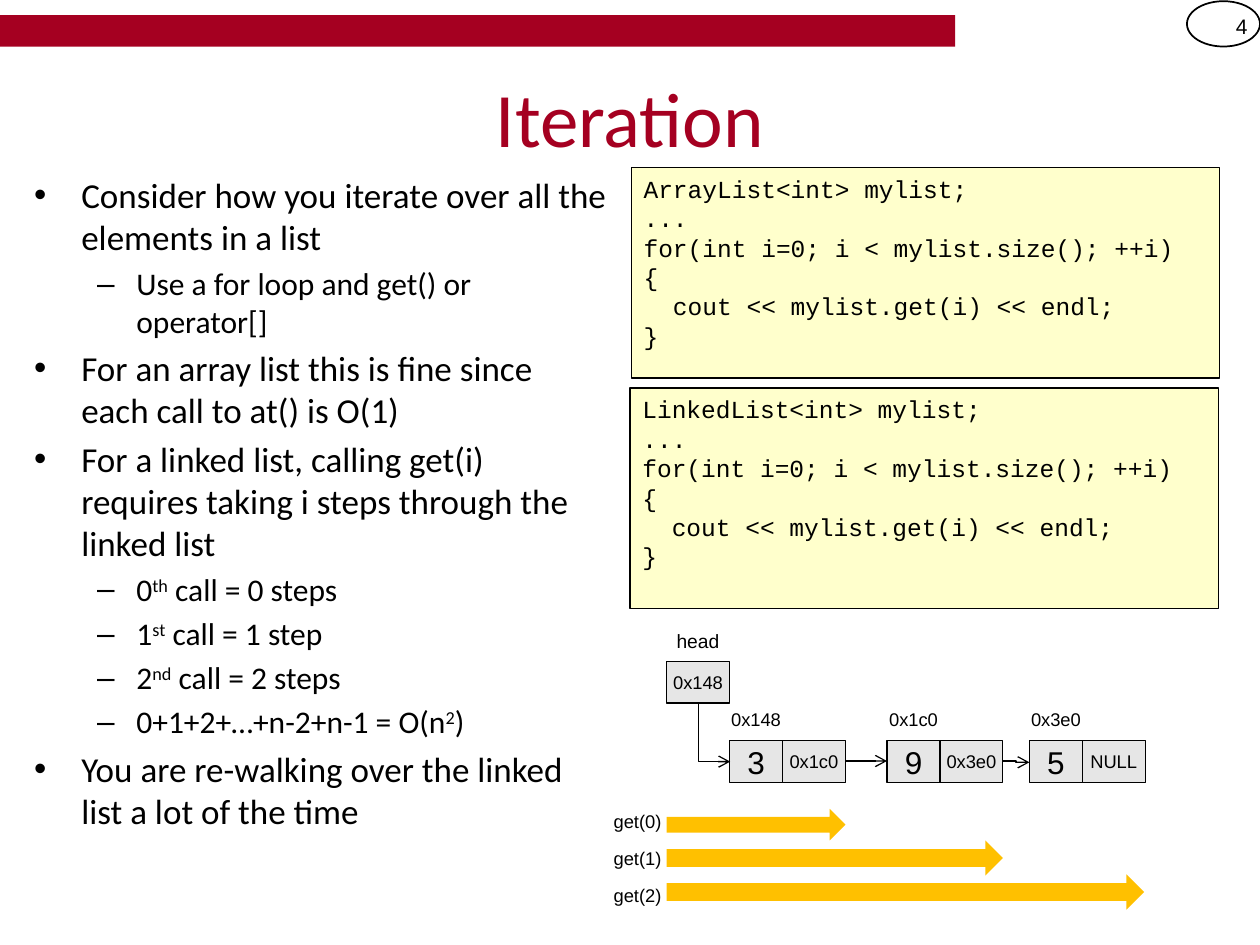
"""Build the slide on the cost of iterating over a linked list."""
from dataclasses import dataclass

from lxml import etree
from pptx import Presentation
from pptx.dml.color import RGBColor
from pptx.enum.shapes import MSO_CONNECTOR, MSO_SHAPE
from pptx.enum.text import MSO_ANCHOR, MSO_AUTO_SIZE, PP_ALIGN
from pptx.oxml.ns import qn
from pptx.util import Inches, Pt

CRIMSON = RGBColor(0xA5, 0x00, 0x21)
BLACK = RGBColor(0, 0, 0)
CREAM = RGBColor(0xFF, 0xFF, 0xCC)
GREY = RGBColor(0xE6, 0xE6, 0xE6)
AMBER = RGBColor(0xFF, 0xC0, 0x00)

VALUE_W, POINTER_W, CELL_H = 0.42, 0.5, 0.33
NODE_Y, HEAD_X, HEAD_Y = 5.88, 5.29, 5.25
LINK_Y = 6.04


@dataclass(frozen=True)
class Node:
    x: float
    address: str
    value: str
    pointer: str


@dataclass(frozen=True)
class Call:
    label: str
    label_y: float
    arrow_y: float
    length: float
    height: float


@dataclass(frozen=True)
class Bullet:
    text: str
    level: int = 0


NODES = [
    Node(5.79, "0x148", "3", "0x1c0"),
    Node(7.04, "0x1c0", "9", "0x3e0"),
    Node(8.17, "0x3e0", "5", "NULL"),
]
CALLS = [
    Call("get(0)", 6.35, 6.42, 1.42, 0.25),
    Call("get(1)", 6.65, 6.67, 2.67, 0.28),
    Call("get(2)", 6.94, 6.94, 3.79, 0.28),
]
BULLETS = [
    Bullet("Consider how you iterate over all the elements in a list"),
    Bullet("Use a for loop and get() or operator[]", 1),
    Bullet("For an array list this is fine since each call to at() is O(1)"),
    Bullet("For a linked list, calling get(i) requires taking i steps through the linked list"),
    Bullet("0^th^ call = 0 steps", 1),
    Bullet("1^st^ call = 1 step", 1),
    Bullet("2^nd^ call = 2 steps", 1),
    Bullet("0+1+2+…+n-2+n-1 = O(n^2^)", 1),
    Bullet("You are re-walking over the linked list a lot of the time"),
]
LOOP = [
    "...",
    "for(int i=0; i < mylist.size(); ++i)",
    "{",
    "  cout << mylist.get(i) << endl;",
    "}",
]

prs = Presentation()
prs.slide_width, prs.slide_height = Inches(10), Inches(7.5)
slide = prs.slides.add_slide(prs.slide_layouts[1])
shapes = slide.shapes


def place(shape, x: float, y: float, w: float, h: float) -> None:
    """Move and size a shape, in inches."""
    shape.left, shape.top = Inches(x), Inches(y)
    shape.width, shape.height = Inches(w), Inches(h)


def add_box(kind, x: float, y: float, w: float, h: float,
            fill: RGBColor | None = None, line: float | None = None):
    """Add a preset shape with an optional fill and black outline."""
    box = shapes.add_shape(kind, Inches(x), Inches(y), Inches(w), Inches(h))
    box.shadow.inherit = False
    if fill is None:
        box.fill.background()
    else:
        box.fill.solid()
        box.fill.fore_color.rgb = fill
    if line is None:
        box.line.fill.background()
    else:
        box.line.color.rgb = BLACK
        box.line.width = Pt(line)
    return box


def write(shape, lines: list[str], size: float, font: str = "Arial",
          align=PP_ALIGN.CENTER, anchor=MSO_ANCHOR.MIDDLE) -> None:
    """Fill a shape with plain lines in one style."""
    frame = shape.text_frame
    frame.vertical_anchor = anchor
    for index, line in enumerate(lines):
        para = frame.add_paragraph() if index else frame.paragraphs[0]
        para.alignment = align
        run = para.add_run()
        run.text = line
        run.font.size, run.font.name = Pt(size), font
        run.font.color.rgb = BLACK


def tighten(shape) -> None:
    """Remove side margins and keep the text on one line."""
    shape.text_frame.margin_left = shape.text_frame.margin_right = 0
    shape.text_frame.word_wrap = False


def add_label(text: str, x: float, y: float, w: float = VALUE_W, size: float = 10.5) -> None:
    """Add a small centred caption."""
    label = shapes.add_textbox(Inches(x), Inches(y), Inches(w), Inches(CELL_H))
    tighten(label)
    write(label, [text], size)


def add_pointer(text: str, x: float, y: float) -> None:
    """Add a grey cell holding an address."""
    cell = add_box(MSO_SHAPE.RECTANGLE, x, y, POINTER_W, CELL_H, GREY, 0.75)
    tighten(cell)
    write(cell, [text], 10.5)


def add_link(x1: float, y1: float, x2: float, y2: float):
    """Add an elbow connector with an open arrowhead."""
    link = shapes.add_connector(MSO_CONNECTOR.ELBOW, Inches(x1), Inches(y1),
                                Inches(x2), Inches(y2))
    link.line.color.rgb = BLACK
    link.line.width = Pt(0.75)
    etree.SubElement(link.line._get_or_add_ln(), qn("a:tailEnd"), type="arrow")
    etree.SubElement(link._element.spPr, qn("a:effectLst"))
    return link


def add_code(x: float, y: float, h: float, list_type: str) -> None:
    """Add a cream panel with the loop for one list type."""
    panel = add_box(MSO_SHAPE.RECTANGLE, x, y, 4.67, h, CREAM, 0.75)
    write(panel, [f"{list_type}<int> mylist;", *LOOP], 14, "Courier New",
          PP_ALIGN.LEFT, MSO_ANCHOR.TOP)


def fill_body(body) -> None:
    """Write the bullets, raising text between carets."""
    frame = body.text_frame
    frame.auto_size = MSO_AUTO_SIZE.NONE
    for index, bullet in enumerate(BULLETS):
        para = frame.add_paragraph() if index else frame.paragraphs[0]
        para.level = bullet.level
        for part, text in enumerate(bullet.text.split("^")):
            run = para.add_run()
            run.text = text
            run.font.size = Pt(18 if bullet.level else 20)
            run.font.name = "Calibri"
            run.font.color.rgb = BLACK
            if part % 2:
                run.font._element.set("baseline", "30000")


title, body = slide.placeholders
place(title, 0.5, 0.3, 9, 1.25)
title.text_frame.text = "Iteration"
title_font = title.text_frame.paragraphs[0].runs[0].font
title_font.size, title_font.name = Pt(44), "Calibri"
title_font.color.rgb = CRIMSON
place(body, 0.17, 1.33, 4.75, 5.67)
fill_body(body)

add_box(MSO_SHAPE.RECTANGLE, 0, 0.12, 7.58, 0.25, CRIMSON)
add_box(MSO_SHAPE.OVAL, 9.42, 0.01, 0.58, 0.36, line=1)
page = shapes.add_textbox(Inches(9.42), Inches(0.01), Inches(0.58), Inches(0.4))
write(page, ["4"], 12, align=PP_ALIGN.RIGHT)
page.text_frame.word_wrap = True

add_code(5.01, 1.33, 1.67, "ArrayList")
add_code(5, 3.08, 1.75, "LinkedList")

add_label("head", HEAD_X, HEAD_Y - CELL_H, POINTER_W, 11)
add_pointer("0x148", HEAD_X, HEAD_Y)
for node in NODES:
    add_label(node.address, node.x, NODE_Y - 0.34)
    value_cell = add_box(MSO_SHAPE.RECTANGLE, node.x, NODE_Y, VALUE_W, CELL_H, GREY, 0.75)
    write(value_cell, [node.value], 18)
    add_pointer(node.pointer, node.x + VALUE_W, NODE_Y)

head_link = add_link(5.44, 5.69, 5.9, 5.94)
head_link._element.spPr.find(qn("a:prstGeom")).set("prst", "bentConnector2")
head_xfrm = head_link._element.spPr.find(qn("a:xfrm"))
head_xfrm.set("rot", "16200000")
head_xfrm.set("flipH", "1")
add_link(6.71, LINK_Y, 7.04, LINK_Y)
add_link(7.96, LINK_Y, 8.17, LINK_Y + 0.01)

for call in CALLS:
    add_box(MSO_SHAPE.RIGHT_ARROW, HEAD_X, call.arrow_y, call.length, call.height, AMBER)
    add_label(call.label, 4.85, call.label_y)

prs.save("out.pptx")
